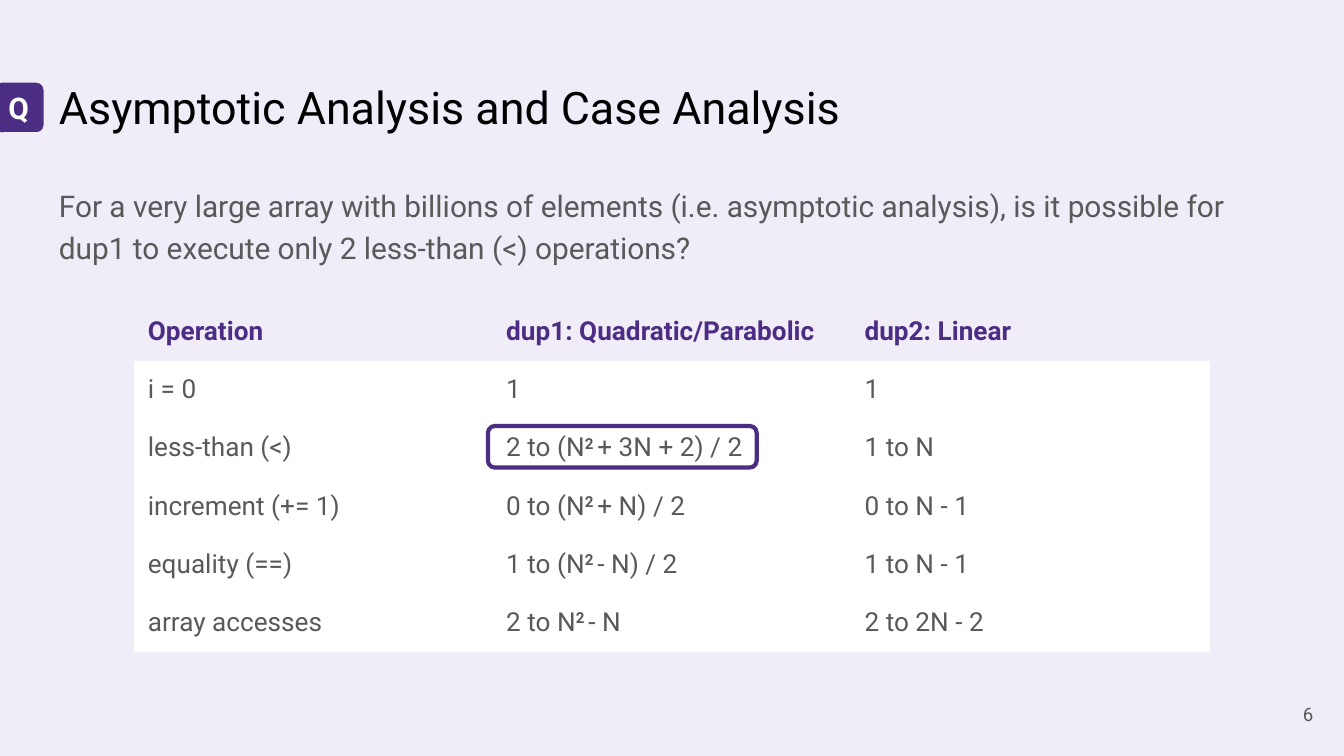
import pptx
import pptx.dml.color
import pptx.enum.shapes
import pptx.enum.text
import pptx.util

Pt = pptx.util.Pt
ALIGN = pptx.enum.text.PP_ALIGN
ANCHOR = pptx.enum.text.MSO_ANCHOR
FONT = "Roboto"
INSET = Pt(7.2)
NO_STYLE = "{2D5ABB26-0587-4C30-8999-92F81FD0307C}"
COLORS = {
    "background": "F0ECF8",
    "purple": "4B2E83",
    "title": "000000",
    "text": "595959",
    "white": "FFFFFF",
}
# "^2 " marks a raised, bold 2
ROWS = [
    ["Operation", "dup1: Quadratic/Parabolic", "dup2: Linear"],
    ["i = 0", "1", "1"],
    ["less-than (<)", "2 to (N^2 + 3N + 2) / 2", "1 to N"],
    ["increment (+= 1)", "0 to (N^2 + N) / 2", "0 to N - 1"],
    ["equality (==)", "1 to (N^2 - N) / 2", "1 to N - 1"],
    ["array accesses", "2 to N^2 - N", "2 to 2N - 2"],
]


def rgb(name):
    return pptx.dml.color.RGBColor.from_string(COLORS[name])


def style(p, size, color, bold=False, align=ALIGN.LEFT):
    p.alignment = align
    p.font.name = FONT
    p.font.size = Pt(size)
    p.font.bold = bold
    p.font.color.rgb = rgb(color)


def write(sp, text, size, color, anchor=ANCHOR.TOP, **options):
    """Put one styled paragraph into a shape and return it."""
    tf = sp.text_frame
    tf.word_wrap = True
    tf.vertical_anchor = anchor
    tf.margin_left = tf.margin_right = tf.margin_top = tf.margin_bottom = INSET
    p = tf.paragraphs[0]
    p.text = text
    style(p, size, color, **options)
    return p


def add_text(s, box, text, size, color, **options):
    sp = s.shapes.add_textbox(*map(Pt, box))
    return write(sp, text, size, color, **options)


def add_round_rect(s, box, line, fill=None):
    sp = s.shapes.add_shape(
        pptx.enum.shapes.MSO_SHAPE.ROUNDED_RECTANGLE, *map(Pt, box))
    sp.shadow.inherit = False
    if fill:
        sp.fill.solid()
        sp.fill.fore_color.rgb = rgb(fill)
    else:
        sp.fill.background()
    sp.line.color.rgb = rgb(line)
    sp.line.width = Pt(2.25)
    return sp


def fill_cell(cell, text, header):
    cell.margin_left = cell.margin_right = INSET
    cell.margin_top = cell.margin_bottom = INSET
    cell.fill.solid()
    cell.fill.fore_color.rgb = rgb("background" if header else "white")
    p = cell.text_frame.paragraphs[0]
    style(p, 14, "purple" if header else "text", bold=header)
    before, power, after = text.partition("^2 ")
    p.add_run().text = before
    if power:
        r = p.add_run()
        r.text = "2 "
        r.font.bold = True
        r.font._element.set("baseline", "30000")
        p.add_run().text = after


def add_operations_table(s, left, top, col_width, row_height):
    n_rows, n_cols = len(ROWS), len(ROWS[0])
    frame = s.shapes.add_table(
        n_rows, n_cols, Pt(left), Pt(top),
        Pt(col_width * n_cols), Pt(row_height * n_rows))
    table = frame.table
    table.first_row = table.horz_banding = False
    table._tbl.tblPr.find(pptx.oxml.ns.qn("a:tableStyleId")).text = NO_STYLE
    for i, row in enumerate(ROWS):
        for j, text in enumerate(row):
            fill_cell(table.cell(i, j), text, header=i == 0)


def main():
    prs = pptx.Presentation()
    prs.slide_width, prs.slide_height = Pt(720), Pt(405)
    s = prs.slides.add_slide(prs.slide_layouts[6])
    s.background.fill.solid()
    s.background.fill.fore_color.rgb = rgb("background")

    add_text(s, (24.5, 35.3, 671, 45.4),
             "Asymptotic Analysis and Case Analysis", 24, "title")
    add_text(s, (667.4, 367.2, 43.2, 31), "6", 10, "text",
             anchor=ANCHOR.MIDDLE, align=ALIGN.RIGHT)
    add_operations_table(s, 72, 162, 192, 31.1)
    highlight = (261.4, 228.2, 144, 22.3)
    add_round_rect(s, highlight, "purple")
    p = add_text(s, (24.5, 90.7, 671, 54),
                 "For a very large array with billions of elements "
                 "(i.e. asymptotic analysis), is it possible for dup1 "
                 "to execute only 2 less-than (<) operations?", 16, "text")
    p.line_spacing = 1.15
    p.space_after = Pt(8)
    badge = add_round_rect(s, (-4.3, 43.2, 28.8, 28.8), "background", "purple")
    write(badge, "Q", 16, "white", anchor=ANCHOR.MIDDLE, bold=True,
          align=ALIGN.CENTER)

    prs.save("out.pptx")


if __name__ == "__main__":
    main()
